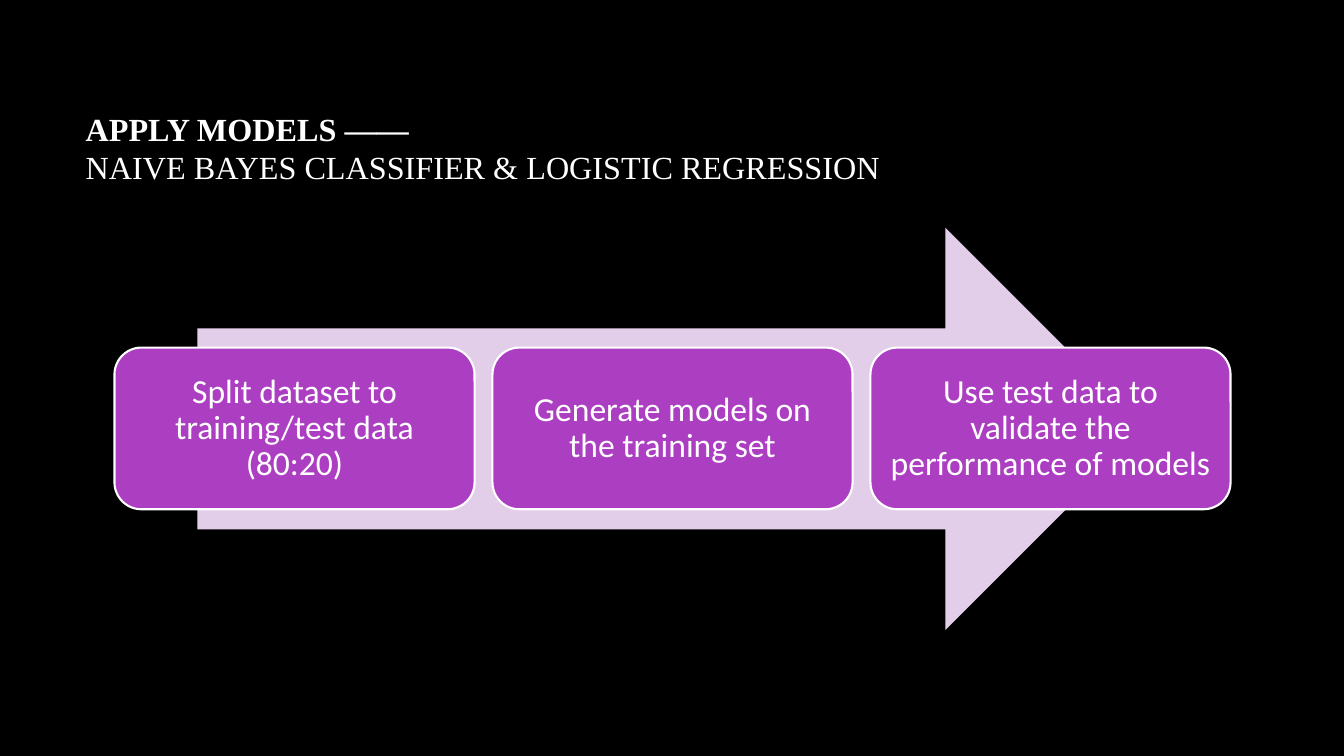
"""Build the slide on applying models: three steps along an arrow."""
import pptx
import pptx.dml.color
import pptx.enum.shapes
import pptx.enum.text
import pptx.util

HEADING = "APPLY MODELS ——"
MODELS = "NAIVE BAYES CLASSIFIER & LOGISTIC REGRESSION"
STEPS = [
    "Split dataset to training/test data (80:20)",
    "Generate models on the training set",
    "Use test data to validate the performance of models",
]

BLACK = pptx.dml.color.RGBColor(0x00, 0x00, 0x00)
WHITE = pptx.dml.color.RGBColor(0xFF, 0xFF, 0xFF)
LILAC = pptx.dml.color.RGBColor(0xE3, 0xCE, 0xE9)
PURPLE = pptx.dml.color.RGBColor(0xAC, 0x3E, 0xC1)

PX = 9525
SLIDE_SIZE = (1280, 720)
TITLE_BOX = (72, 64, 1064, 153)
ARROW_BOX = (188, 217, 904, 383)
STEP_LEFT, STEP_WIDTH, STEP_HEIGHT, STEP_GAP = 109, 343, 154, 17
STEP_INSET = 10

SHAPES = pptx.enum.shapes.MSO_SHAPE
ALIGN = pptx.enum.text.PP_ALIGN
MIDDLE = pptx.enum.text.MSO_ANCHOR.MIDDLE


def emu(lengths):
    return [length * PX for length in lengths]


def set_font(font, name, size):
    font.name = name
    font.size = pptx.util.Pt(size)
    font.color.rgb = WHITE


def add_filled(slide, kind, box, color):
    shape = slide.shapes.add_shape(kind, *emu(box))
    shape.shadow.inherit = False
    shape.fill.solid()
    shape.fill.fore_color.rgb = color
    shape.line.fill.background()
    return shape


def add_title(slide):
    title = slide.shapes.title
    title.left, title.top, title.width, title.height = emu(TITLE_BOX)
    frame = title.text_frame
    frame.word_wrap = True
    frame.auto_size = pptx.enum.text.MSO_AUTO_SIZE.NONE
    frame.vertical_anchor = MIDDLE
    line = frame.paragraphs[0]
    line.alignment = ALIGN.LEFT
    set_font(line.font, "Times New Roman", 23)
    heading = line.add_run()
    heading.text = HEADING
    heading.font.bold = True
    line.add_line_break()
    models = line.add_run()
    models.text = MODELS
    models.font.bold = False


def add_step(slide, index, text):
    left = STEP_LEFT + index * (STEP_WIDTH + STEP_GAP)
    top = ARROW_BOX[1] + (ARROW_BOX[3] - STEP_HEIGHT) // 2
    step = add_filled(slide, SHAPES.ROUNDED_RECTANGLE,
                      (left, top, STEP_WIDTH, STEP_HEIGHT), PURPLE)
    step.line.color.rgb = WHITE
    step.line.width = pptx.util.Pt(1.5)
    frame = step.text_frame
    frame.word_wrap = True
    frame.vertical_anchor = MIDDLE
    frame.margin_left = frame.margin_right = STEP_INSET * PX
    frame.margin_top = frame.margin_bottom = STEP_INSET * PX
    frame.text = text
    label = frame.paragraphs[0]
    label.alignment = ALIGN.CENTER
    label.line_spacing = 0.9
    set_font(label.font, "Calibri", 24)


def main():
    deck = pptx.Presentation()
    deck.slide_width, deck.slide_height = emu(SLIDE_SIZE)
    slide = deck.slides.add_slide(deck.slide_layouts.get_by_name("Title Only"))
    slide.background.fill.solid()
    slide.background.fill.fore_color.rgb = BLACK
    add_title(slide)
    add_filled(slide, SHAPES.RIGHT_ARROW, ARROW_BOX, LILAC)
    for index, text in enumerate(STEPS):
        add_step(slide, index, text)
    deck.save("out.pptx")


if __name__ == "__main__":
    main()
